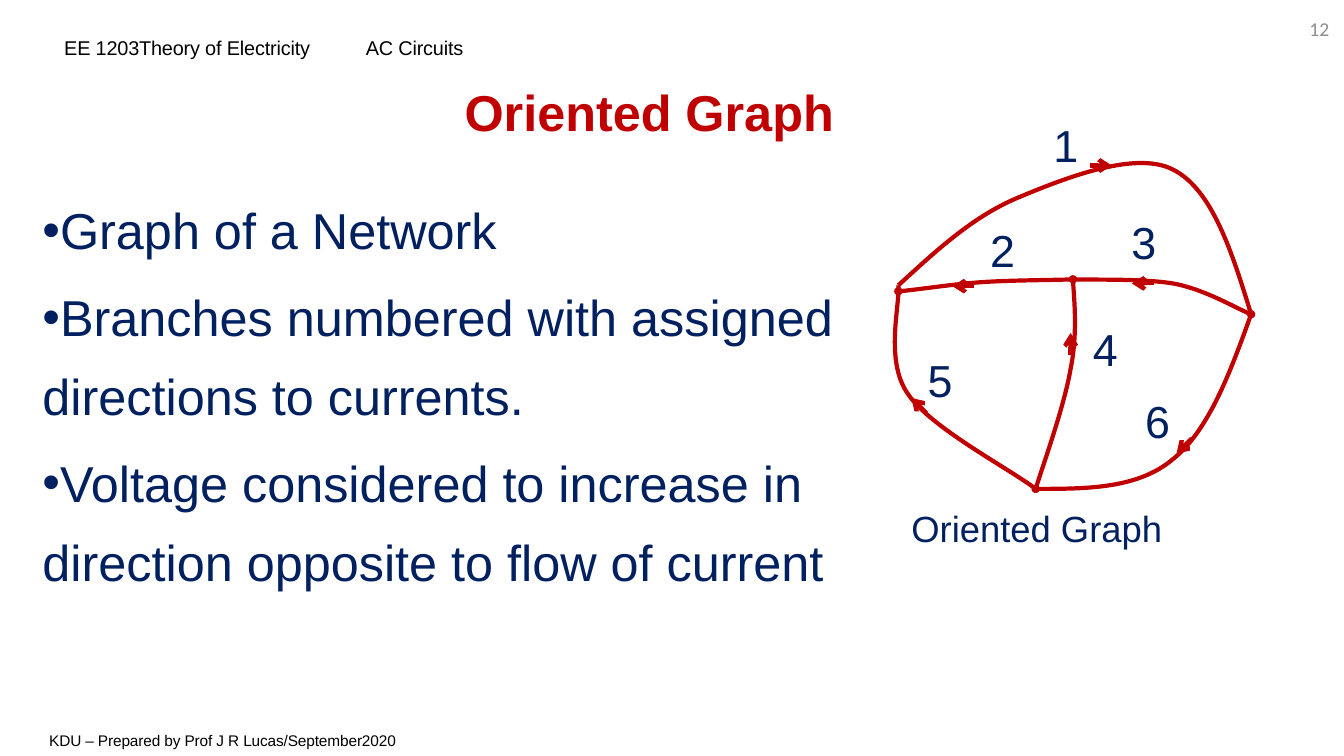
from lxml import etree
from pptx import Presentation
from pptx.dml.color import RGBColor
from pptx.enum.shapes import MSO_CONNECTOR
from pptx.enum.text import MSO_ANCHOR, MSO_AUTO_SIZE, PP_ALIGN
from pptx.oxml.ns import qn
from pptx.util import Cm, Pt

LINE = MSO_CONNECTOR.STRAIGHT
TOP, MIDDLE = MSO_ANCHOR.TOP, MSO_ANCHOR.MIDDLE
LEFT, CENTER, RIGHT = PP_ALIGN.LEFT, PP_ALIGN.CENTER, PP_ALIGN.RIGHT
FIXED = MSO_AUTO_SIZE.NONE
HUES = {"red": "C00000", "navy": "002060", "black": "000000", "grey": "8C8C8C"}
DOT = {"type": "oval", "w": "sm", "len": "sm"}
TIP = {"type": "arrow"}

WEST, WEST_LOW, MID, EAST, SOUTH = (
    (0.63, 4.69), (0.63, 4.84), (5.03, 4.54), (9.52, 5.42), (4.09, 9.82))
BRANCHES = {
    "1": ([WEST, (1.55, 3.85), (2.46, 2.99), (3.6, 2.5), (4.75, 2.02), (6.58, 1.28),
           (7.54, 1.77), (8.53, 2.25), (9.04, 3.85), EAST],
          (), (5.46, 1.67), (0.55, 0), (4.49, 0.44)),
    "2": ([WEST_LOW, (0.99, 4.82), (2, 4.66), (2.74, 4.61), (3.48, 4.56), (4.54, 4.56), MID],
          ("headEnd",), (2.54, 4.71), (-0.55, 0), (2.89, 3.09)),
    "3": ([MID, (5.41, 4.56), (6.88, 4.51), (7.64, 4.66), (8.38, 4.82), (9.14, 5.27), EAST],
          ("tailEnd",), (7.06, 4.64), (-0.55, 0), (6.45, 2.88)),
    "4": ([MID, (5.05, 4.92), (5.15, 5.93), (4.97, 6.8), (4.82, 7.69), (4.29, 9.18), SOUTH],
          ("headEnd", "tailEnd"), (4.97, 6.44), (0, -0.55), (5.48, 5.58)),
    "5": ([WEST, (0.68, 5.15), (0.28, 6.57), (0.86, 7.41), (1.42, 8.27), (3.43, 9.31), SOUTH],
          (), (1.34, 7.91), (-0.38, -0.38), (1.32, 6.36)),
    "6": ([SOUTH, (5.38, 9.82), (6.65, 9.82), (7.54, 9.08), (8.45, 8.35), (8.99, 6.9), EAST],
          (), (8.02, 8.55), (-0.38, 0.38), (6.8, 7.38)),
}
POINTS = ["Graph of a Network",
          "Branches numbered with assigned directions to currents.",
          "Voltage considered to increase in direction opposite to flow of current"]


def style(para, size, hue, face="Arial", bold=False):
    """Set the font of a paragraph."""
    font = para.font
    font.size, font.name, font.bold = Pt(size), face, bold
    font.color.rgb = RGBColor.from_string(HUES[hue])


def add_text(slide, box, text, size, hue, face="Arial", align=LEFT, anchor=TOP,
             inset=(0.05, 0.03)):
    """Add a one-paragraph text box and return its paragraph."""
    frame = slide.shapes.add_textbox(*map(Cm, box)).text_frame
    frame.word_wrap, frame.vertical_anchor = True, anchor
    frame.margin_left = frame.margin_right = Cm(inset[0])
    frame.margin_top = frame.margin_bottom = Cm(inset[1])
    para = frame.paragraphs[0]
    para.text, para.alignment = text, align
    style(para, size, hue, face)
    return para


def tighten(para):
    """Narrow the letter spacing by a tenth of a point."""
    for run in para.runs:
        run._r.get_or_add_rPr().set("spc", "-10")


def add_head(slide, box):
    """Add the course line, with its topic at a tab stop."""
    para = add_text(slide, box, "EE 1203Theory of Electricity\tAC Circuits", 14.2, "black")
    tabs = etree.Element(qn("a:tabLst"))
    etree.SubElement(tabs, qn("a:tab"), pos=str(Cm(7.6)), algn="l")
    para._p.get_or_add_pPr().insert(0, tabs)
    tighten(para)


def add_foot(slide, box):
    """Add the author line."""
    tighten(add_text(slide, box, "KDU – Prepared by Prof J R Lucas/September2020",
                     11, "black", anchor=MIDDLE))


def add_title(slide, box):
    """Place and format the title."""
    title = slide.shapes.title
    title.left, title.top, title.width, title.height = map(Cm, box)
    frame = title.text_frame
    frame.auto_size, frame.vertical_anchor = FIXED, MIDDLE
    para = frame.paragraphs[0]
    para.text, para.alignment, para.line_spacing = "Oriented Graph", CENTER, 0.9
    style(para, 36, "red", bold=True)


def add_points(slide, box):
    """Add the bulleted text."""
    frame = slide.shapes.add_textbox(*map(Cm, box)).text_frame
    frame.word_wrap, frame.vertical_anchor = True, MIDDLE
    for i, text in enumerate(POINTS):
        para = frame.add_paragraph() if i else frame.paragraphs[0]
        para.text = text
        props = para._p.get_or_add_pPr()
        etree.SubElement(props, qn("a:buFont"), typeface="Arial")
        etree.SubElement(props, qn("a:buChar"), char="•")
        para.line_spacing, para.space_after = 1.3, Pt(6)
        style(para, 36, "navy")


def ink(shape, ends, mark):
    """Draw a red line with the given end marks."""
    shape.line.color.rgb = RGBColor.from_string(HUES["red"])
    shape.line.width = Pt(3)
    line = shape.line._get_or_add_ln()
    for end in ends:
        etree.SubElement(line, qn("a:" + end), mark)


def add_curve(slide, points):
    """Add an open chain of cubic Bezier curves, given in cm."""
    spots = [(Cm(x), Cm(y)) for x, y in points]
    build = slide.shapes.build_freeform(*spots[0])
    build.add_line_segments(spots[1:], close=False)
    curve = build.convert_to_shape()
    track = next(curve._element.iter(qn("a:path")))
    legs = track.findall(qn("a:lnTo"))
    for i in range(0, len(legs), 3):
        bend = etree.SubElement(track, qn("a:cubicBezTo"))
        for leg in legs[i:i + 3]:
            bend.append(leg[0])
            track.remove(leg)
    curve.fill.background()
    curve.shadow.inherit = False
    return curve


def add_graph(slide, box):
    """Add the graph with its curves, arrows, labels and caption."""
    left, top, width, height = box
    add_text(slide, (left + 0.91, top + height - 1.63, width - 2, 1.63), "Oriented Graph",
             26, "navy")
    for points, ends, *_ in BRANCHES.values():
        curve = add_curve(slide, [(left + x, top + y) for x, y in points])
        ink(curve, ends, DOT)
    for name, (_, _, (x, y), (dx, dy), (tx, ty)) in BRANCHES.items():
        x, y = left + x, top + y
        arrow = slide.shapes.add_connector(LINE, Cm(x), Cm(y), Cm(x + dx), Cm(y + dy))
        ink(arrow, ["tailEnd"], TIP)
        etree.SubElement(arrow._element.spPr, qn("a:effectLst"))
        add_text(slide, (left + tx, top + ty, 1.65, 1.63), name, 32, "navy")


def main():
    """Build the slide and save it."""
    deck = Presentation()
    deck.slide_width, deck.slide_height = Cm(33.87), Cm(19.05)
    slide = deck.slides.add_slide(deck.slide_layouts[5])
    add_head(slide, (1.57, 0.88, 24.97, 0.64))
    add_foot(slide, (1.19, 18.42, 9.27, 0.48))
    add_text(slide, (32.33, 0.3, 1.42, 0.86), "12", 14, "grey", "Calibri", RIGHT, MIDDLE,
             (0.25, 0.13))
    add_title(slide, (1.19, 2.24, 30.35, 1.35))
    add_graph(slide, (22.01, 2.5, 9.98, 11.86))
    add_points(slide, (0.82, 4.49, 23.83, 10.49))
    deck.save("out.pptx")


if __name__ == "__main__":
    main()
